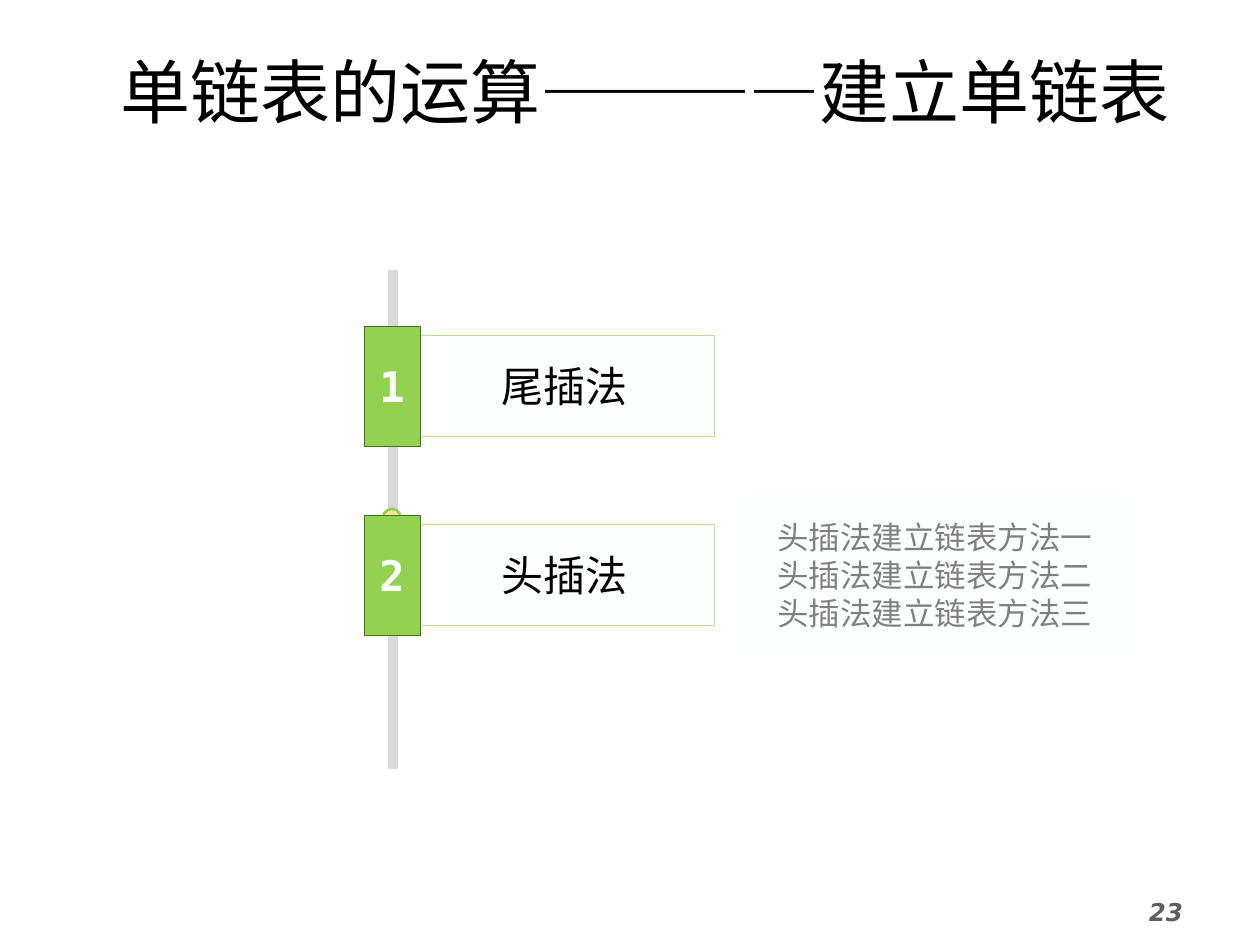
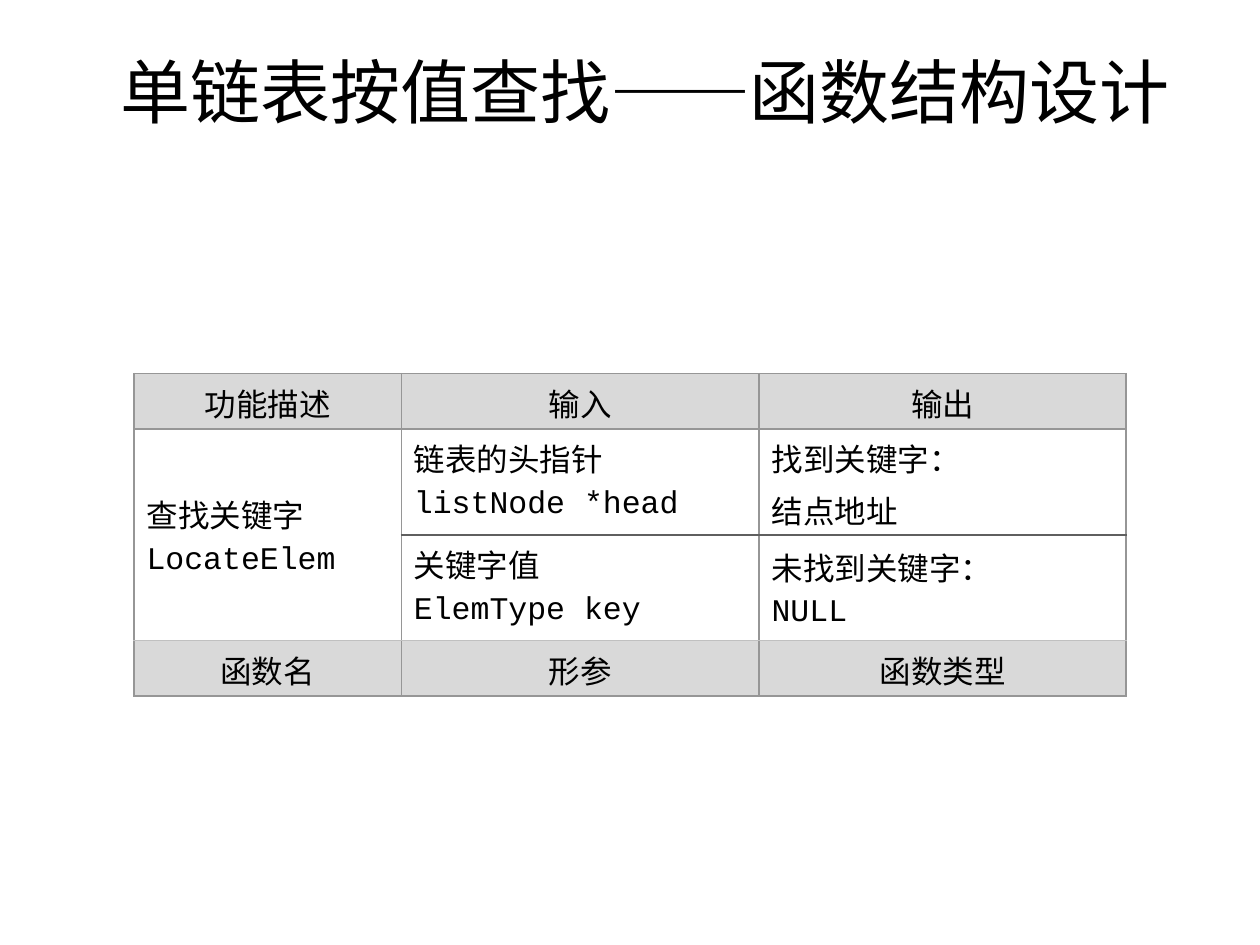
"""Build two slides on singly linked lists: ways to create one, and a lookup function."""
import dataclasses
import typing

import lxml.etree
import pptx
import pptx.dml.color
import pptx.enum.lang
import pptx.enum.shapes
import pptx.enum.text
import pptx.oxml.ns
import pptx.util

Cm = pptx.util.Cm
Pt = pptx.util.Pt
RGBColor = pptx.dml.color.RGBColor
Align = pptx.enum.text.PP_ALIGN
Anchor = pptx.enum.text.MSO_ANCHOR
Preset = pptx.enum.shapes.MSO_SHAPE
qn = pptx.oxml.ns.qn

BLACK = RGBColor(0x00, 0x00, 0x00)
WHITE = RGBColor(0xFF, 0xFF, 0xFF)
PAPER = RGBColor(0xFE, 0xFF, 0xFF)
SILVER = RGBColor(0xD9, 0xD9, 0xD9)
LIGHT_RULE = RGBColor(0xC0, 0xC0, 0xC0)
RULE = RGBColor(0x96, 0x96, 0x96)
GREY = RGBColor(0x80, 0x80, 0x80)
SLATE = RGBColor(0x5F, 0x5F, 0x5F)
GREEN = RGBColor(0x93, 0xD1, 0x51)
PALE_GREEN = RGBColor(0xB7, 0xE0, 0x8B)
DARK_GREEN = RGBColor(0x49, 0x71, 0x1E)
CREAM = RGBColor(0xFF, 0xE6, 0x99)

MONO = "DejaVu Sans Mono"
SANS = "DejaVu Sans"
CODE = "Courier New"


@dataclasses.dataclass(frozen=True)
class Area:
    """A rectangle on the page, in centimetres."""

    left: float
    top: float
    width: float
    height: float

    def lengths(self) -> tuple[int, ...]:
        """Return left, top, width and height as lengths."""
        return tuple(Cm(value) for value in dataclasses.astuple(self))

    def moved_down(self, distance: float) -> "Area":
        """Return the same rectangle further down the page."""
        return dataclasses.replace(self, top=self.top + distance)


@dataclasses.dataclass(frozen=True)
class Look:
    """Fill and outline of a shape."""

    fill: RGBColor
    line: RGBColor | None = None
    weight: float = 0.25


@dataclasses.dataclass(frozen=True)
class Row:
    """One table row with its format."""

    height: float
    texts: tuple[str, ...]
    fill: RGBColor
    align: Align
    anchors: tuple[Anchor, ...]


TITLE_AREA = Area(0.89, 0.84, 24.23, 1.96)
NUMBER_AREA = Area(22.91, 17.96, 2.59, 1.09)

AXIS_X, AXIS_TOP, AXIS_BOTTOM = 7.92, 5.44, 15.5
METHODS = ("尾插法", "头插法")
METHOD_STEP = 3.81
PANEL_AREA = Area(8.36, 6.76, 6.04, 2.03)
BADGE_AREA = Area(7.34, 6.58, 1.13, 2.41)
DOT_AREA = Area(7.72, 10.26, 0.36, 0.36)
VARIANTS_AREA = Area(14.91, 9.93, 7.87, 3.33)
VARIANTS = "\n".join(f"头插法建立链表方法{number}" for number in "一二三")

TABLE_LEFT, TABLE_TOP = 2.7, 7.53
COLUMN_WIDTHS = (5.39, 7.21, 7.4)
ROW_EDGES = (RULE, RULE, SLATE, LIGHT_RULE, RULE)
BAND_ANCHORS = (Anchor.TOP,) * 3
BODY_ANCHORS = (Anchor.MIDDLE, Anchor.TOP, Anchor.MIDDLE)
ROWS = (
    Row(1.12, ("功能描述", "输入", "输出"), SILVER, Align.CENTER, BAND_ANCHORS),
    Row(2.13, ("查找关键字\nLocateElem", "链表的头指针\nlistNode *head", "找到关键字：\n结点地址"),
        WHITE, Align.LEFT, BODY_ANCHORS),
    Row(2.13, ("", "关键字值\nElemType key", "未找到关键字：\nNULL"),
        WHITE, Align.LEFT, BODY_ANCHORS),
    Row(1.12, ("函数名", "形参", "函数类型"), SILVER, Align.CENTER, BAND_ANCHORS),
)


def write(frame: typing.Any, text: str, *, size: float, font: str = MONO,
          east_asian: str | None = None, color: RGBColor = BLACK, bold: bool = False,
          italic: bool = False, align: Align = Align.CENTER, before: float = 0) -> None:
    """Write one paragraph for each line of the text."""
    frame.word_wrap = True
    for index, line in enumerate(text.split("\n")):
        para = frame.paragraphs[0] if index == 0 else frame.add_paragraph()
        para.alignment = align
        para.space_before = Pt(before)
        span = para.add_run()
        span.text = line
        span.font.name = font
        span.font.size = Pt(size)
        span.font.bold = bold
        span.font.italic = italic
        span.font.color.rgb = color
        span.font.language_id = pptx.enum.lang.MSO_LANGUAGE_ID.SIMPLIFIED_CHINESE
        if east_asian:
            lxml.etree.SubElement(span._r.get_or_add_rPr(), qn("a:ea"), typeface=east_asian)


def add_title(page: typing.Any, text: str) -> None:
    """Add the title that every page carries."""
    box = page.shapes.add_textbox(*TITLE_AREA.lengths())
    box.text_frame.vertical_anchor = Anchor.MIDDLE
    write(box.text_frame, text, size=40)
    box.text_frame.auto_size = pptx.enum.text.MSO_AUTO_SIZE.SHAPE_TO_FIT_TEXT


def add_box(page: typing.Any, area: Area, look: Look, preset: Preset = Preset.RECTANGLE) -> typing.Any:
    """Add a preset shape and return its text frame."""
    box = page.shapes.add_shape(preset, *area.lengths())
    box.shadow.inherit = False
    box.fill.solid()
    box.fill.fore_color.rgb = look.fill
    if look.line is None:
        box.line.fill.background()
    else:
        box.line.color.rgb = look.line
        box.line.width = Pt(look.weight)
    box.text_frame.vertical_anchor = Anchor.MIDDLE
    return box.text_frame


def add_axis(page: typing.Any) -> None:
    """Add the vertical bar behind the method badges."""
    axis = page.shapes.add_connector(
        pptx.enum.shapes.MSO_CONNECTOR.STRAIGHT,
        Cm(AXIS_X), Cm(AXIS_TOP), Cm(AXIS_X), Cm(AXIS_BOTTOM))
    axis.line.color.rgb = SILVER
    axis.line.width = Pt(6)
    lxml.etree.SubElement(axis._element.spPr, qn("a:effectLst"))


def add_border(cell: typing.Any, side: str, color: RGBColor) -> None:
    """Draw one border of a table cell."""
    properties = cell._tc.get_or_add_tcPr()
    line = lxml.etree.SubElement(properties, qn(f"a:ln{side}"), w=str(Pt(1)))
    fill = lxml.etree.SubElement(line, qn("a:solidFill"))
    lxml.etree.SubElement(fill, qn("a:srgbClr"), val=str(color))


def add_function_table(page: typing.Any) -> None:
    """Add the table that describes the lookup function."""
    area = Area(TABLE_LEFT, TABLE_TOP, sum(COLUMN_WIDTHS), sum(row.height for row in ROWS))
    table = page.shapes.add_table(len(ROWS), len(COLUMN_WIDTHS), *area.lengths()).table
    table.first_row = False
    table.horz_banding = False
    for column, width in zip(table.columns, COLUMN_WIDTHS):
        column.width = Cm(width)
    table.cell(1, 0).merge(table.cell(2, 0))
    for row_index, row in enumerate(ROWS):
        table.rows[row_index].height = Cm(row.height)
        for column_index, text in enumerate(row.texts):
            cell = table.cell(row_index, column_index)
            merged = cell.is_merge_origin or cell.is_spanned
            top, bottom = (1, 3) if merged else (row_index, row_index + 1)
            colors = (RULE, RULE, ROW_EDGES[top], ROW_EDGES[bottom])
            for side, color in zip("LRTB", colors):
                add_border(cell, side, color)
            cell.fill.solid()
            cell.fill.fore_color.rgb = row.fill
            cell.vertical_anchor = row.anchors[column_index]
            if text:
                write(cell.text_frame, text, size=18, font=CODE, align=row.align, before=3.6)


def build_methods_page(page: typing.Any) -> None:
    """Show the two ways to create a list."""
    add_axis(page)
    add_box(page, DOT_AREA, Look(CREAM, GREEN, 1.5), Preset.OVAL)
    add_title(page, "单链表的运算————建立单链表")
    number = page.shapes.add_textbox(*NUMBER_AREA.lengths())
    write(number.text_frame, "23", size=14, font=SANS, color=SLATE,
          bold=True, italic=True, align=Align.LEFT)
    for index, method in enumerate(METHODS):
        shift = index * METHOD_STEP
        panel = add_box(page, PANEL_AREA.moved_down(shift), Look(PAPER, PALE_GREEN))
        write(panel, method, size=24, east_asian=MONO)
        badge = add_box(page, BADGE_AREA.moved_down(shift), Look(GREEN, DARK_GREEN))
        write(badge, str(index + 1), size=24, color=PAPER, bold=True)
    variants = add_box(page, VARIANTS_AREA, Look(PAPER))
    write(variants, VARIANTS, size=18, east_asian=MONO, color=GREY)


def build_lookup_page(page: typing.Any) -> None:
    """Show the design of the lookup function."""
    add_title(page, "单链表按值查找——函数结构设计")
    add_function_table(page)


def main() -> None:
    """Build and save the deck."""
    deck = pptx.Presentation()
    deck.slide_width = Cm(25.4)
    deck.slide_height = Cm(19.05)
    for build in (build_methods_page, build_lookup_page):
        build(deck.slides.add_slide(deck.slide_layouts[6]))
    deck.save("out.pptx")


if __name__ == "__main__":
    main()
